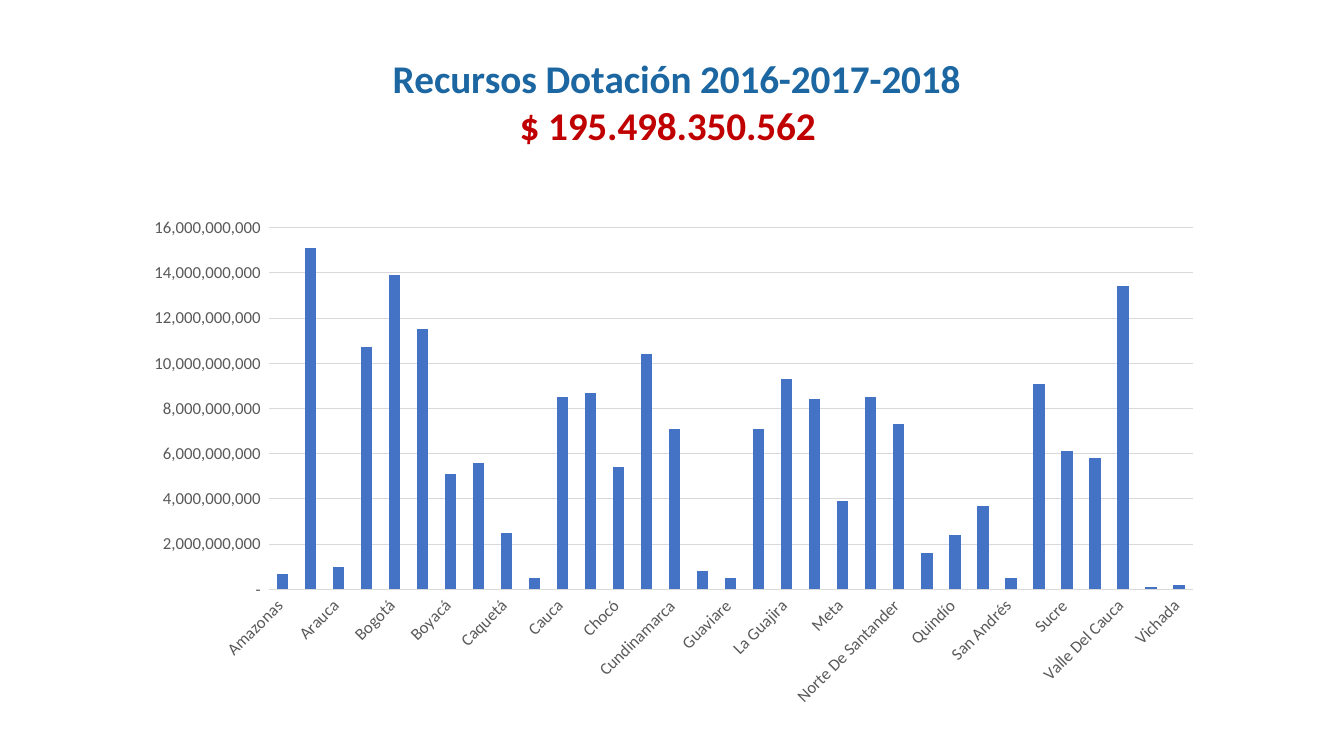
from dataclasses import dataclass

from lxml.etree import SubElement
from pptx import Presentation
from pptx.chart.data import CategoryChartData
from pptx.dml.color import RGBColor
from pptx.enum.chart import XL_CHART_TYPE, XL_TICK_MARK
from pptx.oxml.ns import qn
from pptx.util import Inches, Pt


@dataclass(frozen=True)
class Theme:
    font: str = "Calibri"
    title_size: int = 28
    axis_size: int = 12
    title_color: str = "1C67A1"
    total_color: str = "C00000"
    bar_color: str = "4472C4"
    label_color: str = "595959"
    grid_color: str = "D9D9D9"
    grid_width: float = 0.75


# Funding by department, in thousands of millions of pesos
FUNDING = {
    "Amazonas": 0.7, "Antioquia": 15.1, "Arauca": 1.0, "Atlántico": 10.7,
    "Bogotá": 13.9, "Bolívar": 11.5, "Boyacá": 5.1, "Caldas": 5.6,
    "Caquetá": 2.5, "Casanare": 0.5, "Cauca": 8.5, "Cesar": 8.7,
    "Chocó": 5.4, "Córdoba": 10.4, "Cundinamarca": 7.1, "Guainía": 0.8,
    "Guaviare": 0.5, "Huila": 7.1, "La Guajira": 9.3, "Magdalena": 8.4,
    "Meta": 3.9, "Nariño": 8.5, "Norte De Santander": 7.3, "Putumayo": 1.6,
    "Quindío": 2.4, "Risaralda": 3.7, "San Andrés": 0.5, "Santander": 9.1,
    "Sucre": 6.1, "Tolima": 5.8, "Valle Del Cauca": 13.4, "Vaupés": 0.1,
    "Vichada": 0.2,
}
PESO_FORMAT = '_(* #,##0_);_(* \\(#,##0\\);_(* "-"_);_(@_)'


class SlideBuilder:
    def __init__(self, slide, theme):
        self.slide = slide
        self.theme = theme

    def style_font(self, font, size, color, bold=False):
        font.name = self.theme.font
        font.size = Pt(size)
        font.bold = bold
        font.color.rgb = RGBColor.from_string(color)

    def style_line(self, line):
        line.color.rgb = RGBColor.from_string(self.theme.grid_color)
        line.width = Pt(self.theme.grid_width)

    def add_column_chart(self, name, values, left, top, width, height):
        """Add the columns; a space on each side pads every category label."""
        data = CategoryChartData(number_format=PESO_FORMAT)
        data.categories = [f" {category} " for category in values]
        data.add_series(name, [round(value * 10**9) for value in values.values()])
        chart = self.slide.shapes.add_chart(
            XL_CHART_TYPE.COLUMN_CLUSTERED, left, top, width, height, data
        ).chart
        chart.has_legend = False
        self.style_font(chart.font, self.theme.axis_size, self.theme.label_color)
        plot = chart.plots[0]
        plot.gap_width = 150
        plot.vary_by_categories = False
        fill = plot.series[0].format.fill
        fill.solid()
        fill.fore_color.rgb = RGBColor.from_string(self.theme.bar_color)
        return chart

    def add_chart_title(self, chart, lines):
        """Write one title paragraph for each (text, color) pair."""
        chart.has_title = True
        chart.chart_title.include_in_layout = False
        frame = chart.chart_title.text_frame
        for index, (text, color) in enumerate(lines):
            paragraph = frame.add_paragraph() if index else frame.paragraphs[0]
            run = paragraph.add_run()
            run.text = text
            for font in (paragraph.font, run.font):
                self.style_font(font, self.theme.title_size, color, bold=True)

    def style_axes(self, chart, maximum, step, label_angle):
        for axis in (chart.category_axis, chart.value_axis):
            axis.major_tick_mark = axis.minor_tick_mark = XL_TICK_MARK.NONE
            self.style_font(
                axis.tick_labels.font, self.theme.axis_size, self.theme.label_color
            )
        value_axis = chart.value_axis
        self.style_line(chart.category_axis.format.line)
        value_axis.minimum_scale = 0
        value_axis.maximum_scale = maximum
        value_axis.major_unit = step
        value_axis.has_major_gridlines = True
        self.style_line(value_axis.major_gridlines.format.line)
        value_axis.format.line.fill.background()
        value_axis.tick_labels.number_format = PESO_FORMAT
        value_axis.tick_labels.number_format_is_linked = False
        body = chart.element.xpath(".//c:catAx/c:txPr/a:bodyPr")[0]
        body.set("rot", str(label_angle * 60000))
        body.set("vert", "horz")

    def place_plot(self, chart, **fractions):
        """Fix the inner plot area, in fractions of the chart's size."""
        plot_area = chart.element.xpath(".//c:plotArea")[0]
        for layout in plot_area.findall(qn("c:layout")):
            plot_area.remove(layout)
        layout = SubElement(plot_area, qn("c:layout"))
        plot_area.insert(0, layout)
        manual = SubElement(layout, qn("c:manualLayout"))
        settings = {"layoutTarget": "inner", "xMode": "edge", "yMode": "edge"}
        for tag, value in (settings | fractions).items():
            SubElement(manual, qn(f"c:{tag}")).set("val", str(value))


def main():
    theme = Theme()
    presentation = Presentation()
    presentation.slide_width = Inches(13.33)
    presentation.slide_height = Inches(7.5)
    slide = presentation.slides.add_slide(presentation.slide_layouts[6])
    builder = SlideBuilder(slide, theme)

    chart = builder.add_column_chart(
        "Series 1", FUNDING, Inches(1.28), Inches(0.32), Inches(10.77), Inches(6.85)
    )
    builder.add_chart_title(chart, [
        (" Recursos Dotación 2016-2017-2018", theme.title_color),
        ("$ 195.498.350.562 ", theme.total_color),
    ])
    builder.style_axes(chart, maximum=16 * 10**9, step=2 * 10**9, label_angle=-45)
    builder.place_plot(chart, x=0.1285, y=0.283, w=0.8515, h=0.524)
    presentation.save("out.pptx")


if __name__ == "__main__":
    main()
